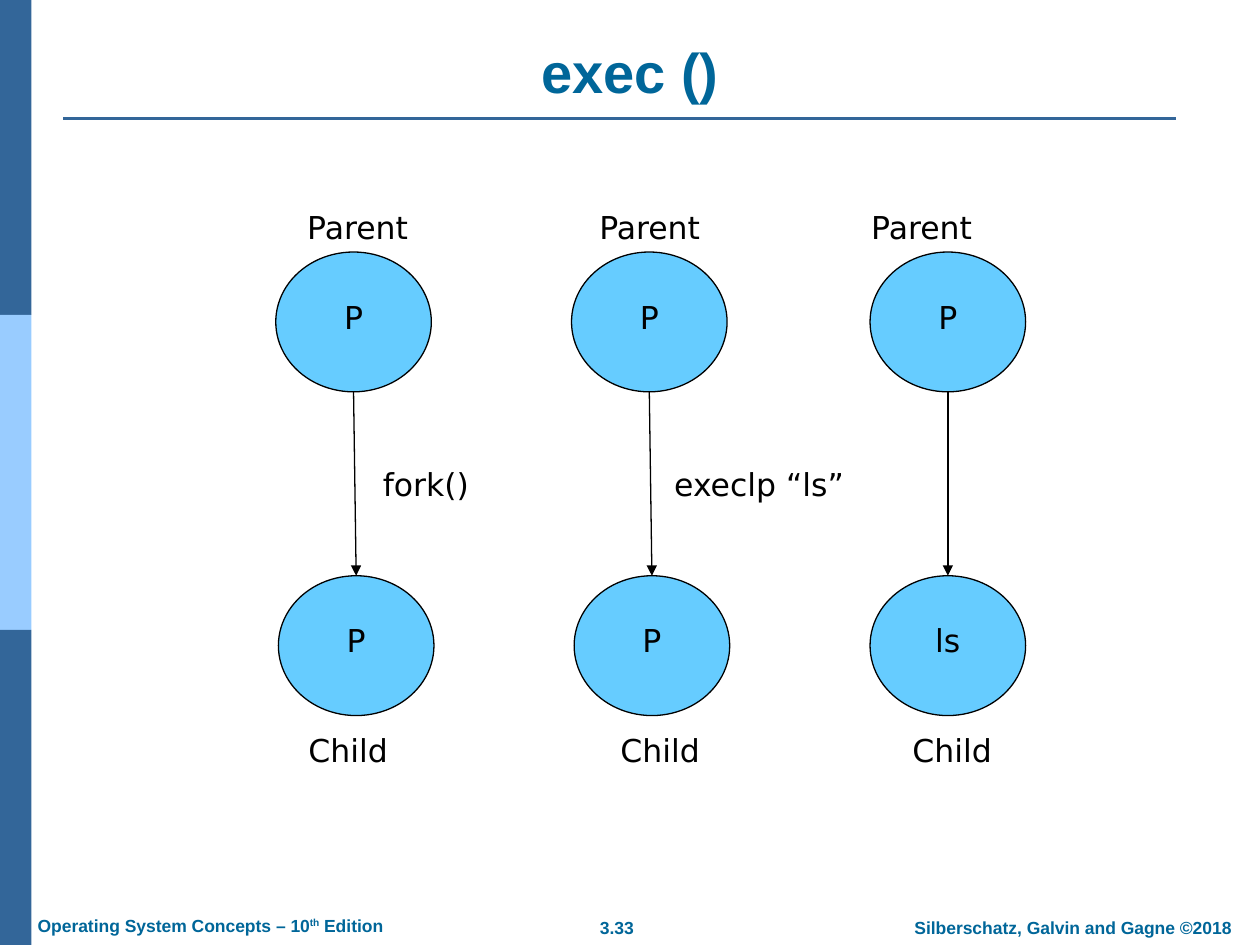
from pptx import Presentation
from pptx.dml.color import RGBColor as RGB
from pptx.enum.shapes import MSO_CONNECTOR as LINK, MSO_SHAPE as SHAPE
from pptx.enum.text import MSO_ANCHOR as ANCHOR, PP_ALIGN as ALIGN
from pptx.oxml.ns import qn
from pptx.util import Pt
from lxml.etree import SubElement as Sub

NAVY = RGB(0x33, 0x66, 0x99)
PALE = RGB(0x99, 0xCC, 0xFF)
TEAL = RGB(0x00, 0x66, 0x99)
SKY = RGB(0x66, 0xCC, 0xFF)
BLACK = RGB(0, 0, 0)

HEAD = {"name": "Arial", "size": Pt(32), "bold": True}
FOOT = {"name": "Arial", "size": Pt(10), "bold": True}
BODY = {"name": "DejaVu Sans", "size": Pt(18), "bold": False}

deck = Presentation()
deck.slide_width, deck.slide_height = Pt(720), Pt(540)
slide = deck.slides.add_slide(deck.slide_layouts[6])
shapes = slide.shapes


def write(shape, parts, style, color, align=ALIGN.LEFT, wrap=True):
    """Fill the first paragraph with one run per part and return it."""
    shape.text_frame.word_wrap = wrap
    para = shape.text_frame.paragraphs[0]
    para.alignment = align
    for part in parts:
        run = para.add_run()
        run.text = part
        run.font.color.rgb = color
        for key, value in style.items():
            setattr(run.font, key, value)
    return para


def draw_line(x1, y1, x2, y2, color, width):
    line = shapes.add_connector(LINK.STRAIGHT, Pt(x1), Pt(y1), Pt(x2), Pt(y2))
    line.line.color.rgb = color
    line.line.width = Pt(width)
    Sub(line._element.spPr, qn("a:effectLst"))
    return line


# Side bar and title rule
for row, color in enumerate((NAVY, PALE, NAVY)):
    bar = shapes.add_shape(SHAPE.RECTANGLE, 0, Pt(180 * row), Pt(18), Pt(180))
    bar.shadow.inherit = False
    bar.fill.solid()
    bar.fill.fore_color.rgb = color
    bar.line.fill.background()
draw_line(36, 67.7, 671.8, 67.7, NAVY, 1.5)

# Title and footers
title = shapes.add_textbox(Pt(36), Pt(18), Pt(648), Pt(45.4))
title.text_frame.vertical_anchor = ANCHOR.BOTTOM
write(title, ["exec ()"], HEAD, TEAL, ALIGN.CENTER)

feet = [
    (334.8, 520.6, 35.3, ["3.33"], ALIGN.CENTER, False),
    (506.2, 520.6, 213.8, ["Silberschatz, Galvin and Gagne ©2018"],
     ALIGN.CENTER, True),
    (14.4, 519.1, 215.3, ["Operating System Concepts – 10", "th", " Edition"],
     ALIGN.LEFT, False),
]
for left, top, width, parts, align, wrap in feet:
    box = shapes.add_textbox(Pt(left), Pt(top), Pt(width), Pt(19.4))
    para = write(box, parts, FOOT, TEAL, align, wrap)
    for run in para.runs:
        if run.text == "th":
            run.font._element.set("baseline", "30000")

# Parent and child of each stage, joined by an arrow
WIDE, TALL = 88.9, 79.9
TOP, LOW = 144, 329
stages = [(157.6, 159.1, "P"), (326.6, 328.1, "P"), (497.2, 497.2, "ls")]
for upper, lower, child in stages:
    for left, top, name in ((upper, TOP, "P"), (lower, LOW, child)):
        node = shapes.add_shape(SHAPE.OVAL, Pt(left), Pt(top), Pt(WIDE), Pt(TALL))
        node.shadow.inherit = False
        node.fill.solid()
        node.fill.fore_color.rgb = SKY
        node.line.color.rgb = BLACK
        node.line.width = Pt(0.75)
        node.text_frame.vertical_anchor = ANCHOR.TOP
        para = write(node, [name], BODY, BLACK, ALIGN.CENTER, False)
        para.line_spacing = 1.5
    arrow = draw_line(upper + WIDE / 2, TOP + TALL, lower + WIDE / 2, LOW,
                      BLACK, 0.75)
    arrow.end_connect(node, 0)
    Sub(arrow.line._get_or_add_ln(), qn("a:tailEnd"), type="triangle")

# Label rows, spread over the stages by tab stops
rows = [
    (168.5, 115.2, 537.1, ["Parent", "Parent", "Parent"], [166.9, 322.3]),
    (211.7, 262.1, 279.4, ["fork()", "execlp “ls”"], [166.5]),
    (169.2, 414, 537.1, ["Child", "Child", "Child"], [178.3, 345.1]),
]
for left, top, width, words, stops in rows:
    box = shapes.add_textbox(Pt(left), Pt(top), Pt(width), Pt(28.8))
    para = write(box, ["\t".join(words)], BODY, BLACK)
    tabs = Sub(para._p.get_or_add_pPr(), qn("a:tabLst"))
    for stop in stops:
        Sub(tabs, qn("a:tab"), pos=str(Pt(stop)), algn="l")

deck.save("out.pptx")
